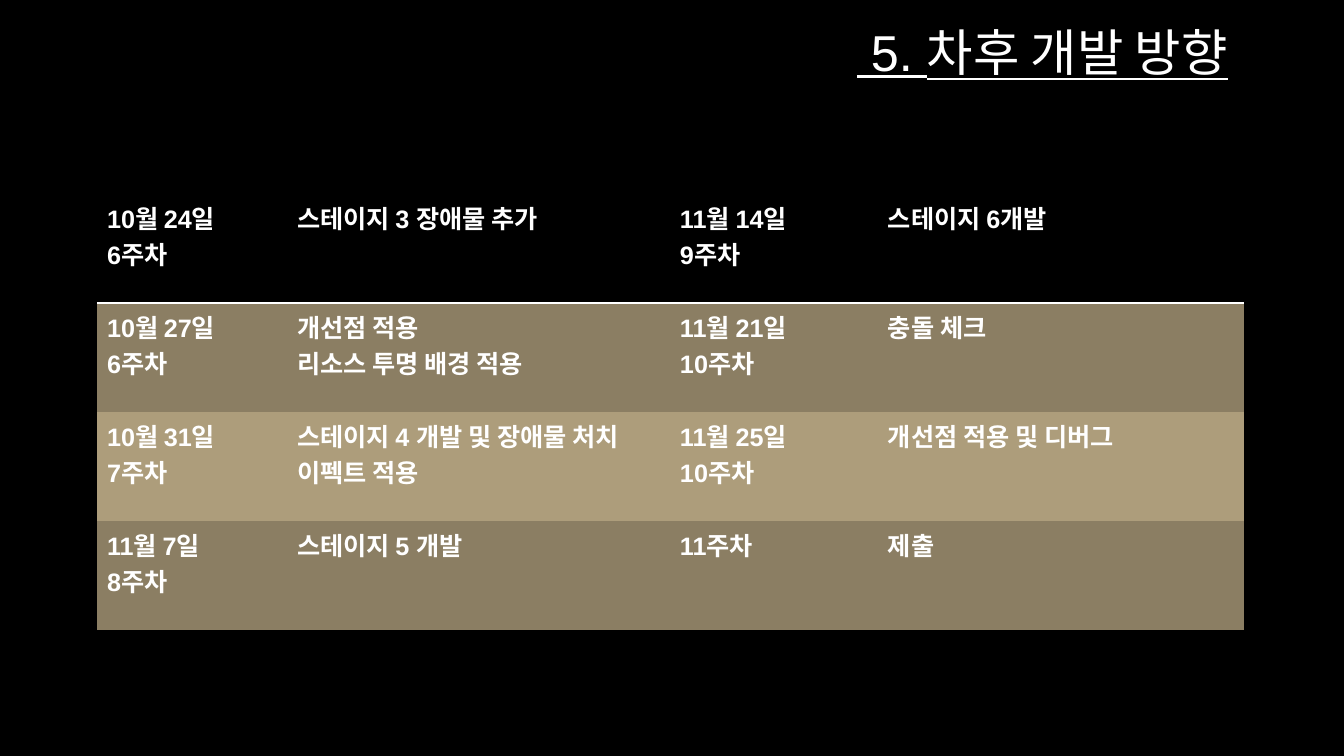
from pptx import Presentation, util as u
from pptx.dml.color import RGBColor
from pptx.oxml import parse_xml
from pptx.oxml.ns import nsdecls, qn

TITLE = " 5. 차후 개발 방향"
ROWS = [
    ("10월 24일\n6주차", "스테이지 3 장애물 추가", "11월 14일\n9주차", "스테이지 6개발"),
    ("10월 27일\n6주차", "개선점 적용\n리소스 투명 배경 적용", "11월 21일\n10주차", "충돌 체크"),
    ("10월 31일\n7주차", "스테이지 4 개발 및 장애물 처치\n이펙트 적용", "11월 25일\n10주차", "개선점 적용 및 디버그"),
    ("11월 7일\n8주차", "스테이지 5 개발", "11주차", "제출"),
]
COLS = (190, 383, 208, 366)
HIGH = 109
BLACK = RGBColor(0, 0, 0)
WHITE = RGBColor(255, 255, 255)
DARK = RGBColor(0x8B, 0x7E, 0x63)
LIGHT = RGBColor(0xAD, 0x9D, 0x7B)
FILLS = (BLACK, DARK, LIGHT, DARK)
PLAIN = "{2D5ABB26-0587-4C30-8999-92F81FD0307C}"
RULE = (f'<a:lnB {nsdecls("a")} w="{u.Pt(2)}"><a:solidFill>'
        f'<a:srgbClr val="{WHITE}"/></a:solidFill></a:lnB>')


def px(n):
    return u.Emu(round(n * 914400 / 100.8))


def style(frame, size, bold=False, line=False):
    for para in frame.paragraphs:
        for run in para.runs:
            font = run.font
            font.name = "Arial"
            font.size = u.Pt(size)
            font.bold = bold
            font.underline = line
            font.color.rgb = WHITE


deck = Presentation()
deck.slide_width, deck.slide_height = px(1344), px(756)
slide = deck.slides.add_slide(deck.slide_layouts[6])
slide.background.fill.solid()
slide.background.fill.fore_color.rgb = BLACK

title = slide.shapes.add_textbox(px(847), px(16), px(476), px(72)).text_frame
title.word_wrap = True
title.text = TITLE
style(title, 36, line=True)

grid = slide.shapes.add_table(len(ROWS), len(COLS), px(97), px(194),
                              px(sum(COLS)), px(HIGH * len(ROWS))).table
grid._tbl.tblPr.find(qn("a:tableStyleId")).text = PLAIN
for col, wide in zip(grid.columns, COLS):
    col.width = px(wide)
for r, (row, fill) in enumerate(zip(ROWS, FILLS)):
    for c, words in enumerate(row):
        cell = grid.cell(r, c)
        cell.text_frame.text = words
        style(cell.text_frame, 18, bold=True)
        cell.fill.solid()
        cell.fill.fore_color.rgb = fill
        if r == 0:
            cell._tc.get_or_add_tcPr().insert(0, parse_xml(RULE))

deck.save("out.pptx")
